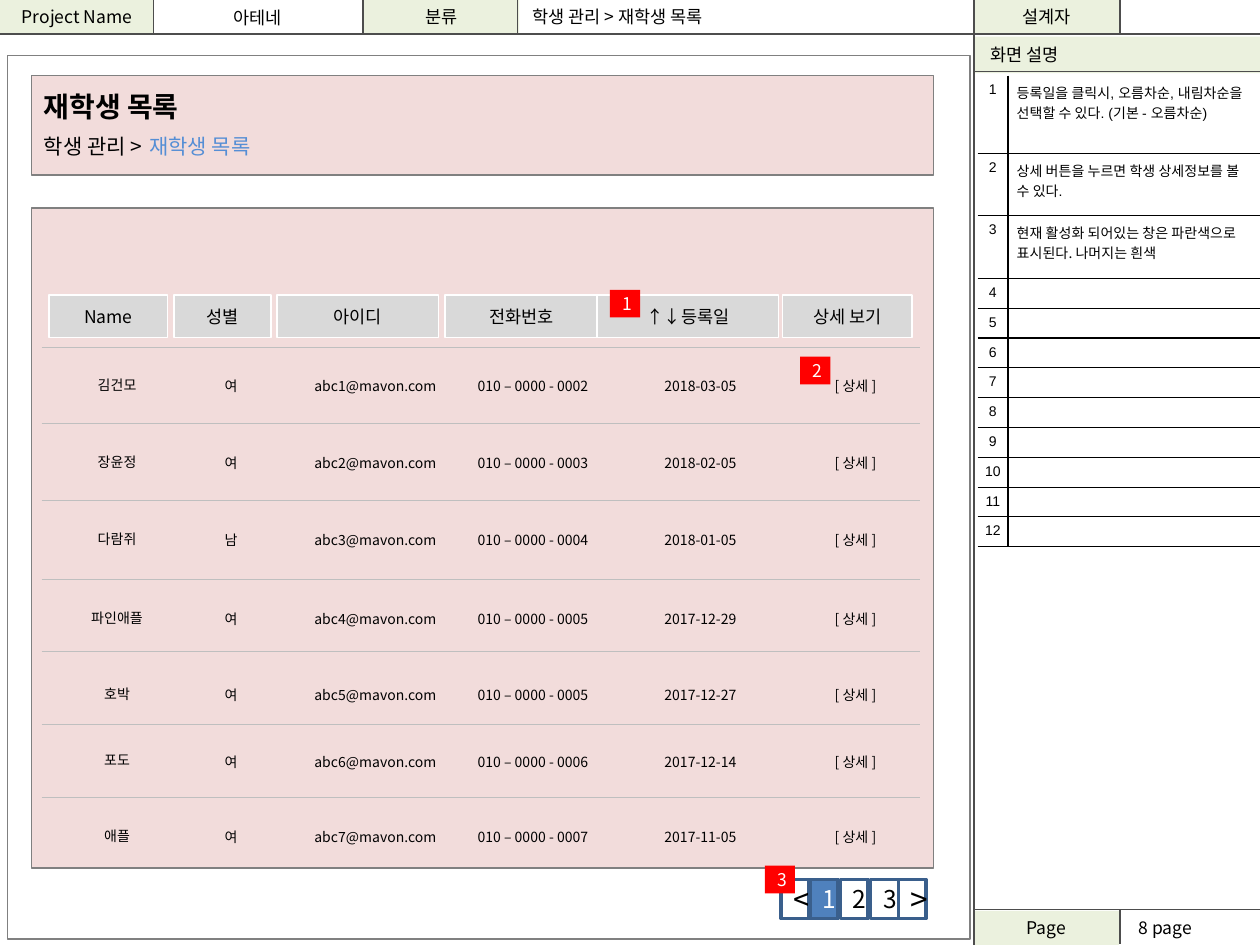
import pptx
import pptx.dml.color
import pptx.enum.shapes
import pptx.enum.text
import pptx.oxml.ns
import pptx.util
from lxml import etree

Inches, Pt = pptx.util.Inches, pptx.util.Pt
ALIGN = pptx.enum.text.PP_ALIGN
ANCHOR = pptx.enum.text.MSO_ANCHOR
FONT = "Noto Sans CJK KR"
GREEN, PINK, GREY, RED, BLUE = "EBF1DE", "F2DCDB", "D9D9D9", "FF0000", "4F81BD"
BLACK, WHITE, FRAME, RULE, ROW_RULE, NAVY = "000000", "FFFFFF", "808080", "4D4D4D", "BFBFBF", "3A5F8C"

# Content: page frame
LABELS = [  # text, left, top, width, height, align
    ("Page", 7.73, 7.23, 1.15, 0.27, ALIGN.CENTER),
    ("설계자", 7.73, 0, 1.15, 0.27, ALIGN.CENTER),
    (" 화면 설명", 7.73, 0.29, 2.27, 0.29, ALIGN.LEFT),
    ("분류", 2.89, 0, 1.23, 0.27, ALIGN.CENTER),
    ("Project Name", 0, 0, 1.22, 0.27, ALIGN.CENTER),
]
RULES = [  # x1, y1, x2, y2
    (8.89, 7.22, 8.89, 7.49), (0, 0.27, 10, 0.27), (1.22, 0, 1.22, 0.27),
    (2.88, 0, 2.88, 0.27), (4.11, 0, 4.11, 0.27), (7.73, 0.57, 10, 0.57),
    (8.89, 0, 8.89, 0.27), (7.73, 0, 7.73, 7.5), (7.73, 7.22, 10, 7.22),
]

# Content: student list
HEADERS = [  # text, left, width
    ("Name", 0.39, 0.94), ("성별", 1.38, 0.77), ("아이디", 2.2, 1.28),
    ("전화번호", 3.53, 1.22), ("↑↓등록일", 4.74, 1.44), ("상세 보기", 6.21, 1.03),
]
COLUMNS = [(0.46, 0.94), (1.45, 0.77), (2.34, 1.28), (3.62, 1.22), (4.84, 1.44), (6.28, 1.02)]
STUDENTS = [  # name, sex, last phone digit, date, rule y, text top
    ("김건모", "여", 2, "2018-03-05", 2.76, 2.83),
    ("장윤정", "여", 3, "2018-02-05", 3.36, 3.44),
    ("다람쥐", "남", 4, "2018-01-05", 3.97, 4.05),
    ("파인애플", "여", 5, "2017-12-29", 4.6, 4.68),
    ("호박", "여", 5, "2017-12-27", 5.17, 5.28),
    ("포도", "여", 6, "2017-12-14", 5.75, 5.81),
    ("애플", "여", 7, "2017-11-05", 6.33, 6.41),
]
PAGER = [("<", 6.2, 18), ("1", 6.43, 14), ("2", 6.67, 14), ("3", 6.91, 14), (">", 7.13, 18)]
BADGES = [("1", 4.84, 2.3), ("2", 6.35, 2.83), ("3", 6.07, 6.87)]

# Content: screen notes
NOTES = [  # text, font, row height
    ("등록일을 클릭시, 오름차순, 내림차순을 선택할 수 있다. (기본 - 오름차순)", "Arial", 0.62),
    ("상세 버튼을 누르면 학생 상세정보를 볼 수 있다.", "Arial", 0.49),
    ("현재 활성화 되어있는 창은 파란색으로 표시된다. 나머지는 흰색", FONT, 0.5),
] + [("", "Arial", 0.237)] * 9


def rgb(value):
    return pptx.dml.color.RGBColor.from_string(value)


def add_run(p, text, size=10, color=BLACK, font=FONT, bold=False):
    r = p.add_run()
    r.text = text
    r.font.size, r.font.name, r.font.bold = Pt(size), font, bold
    r.font.color.rgb = rgb(color)
    if font == FONT:
        etree.SubElement(r.font._element, pptx.oxml.ns.qn("a:ea"), typeface=font)


def add_text(text, x, y, w, h, align=ALIGN.CENTER, anchor=ANCHOR.MIDDLE, **fmt):
    s = prs_slide.shapes.add_textbox(Inches(x), Inches(y), Inches(w), Inches(h))
    tf = s.text_frame
    tf.word_wrap, tf.vertical_anchor = True, anchor
    tf.paragraphs[0].alignment = align
    add_run(tf.paragraphs[0], text, **fmt)


def add_box(x, y, w, h, fill, line=None, weight=1, text=None, align=ALIGN.CENTER, **fmt):
    s = prs_slide.shapes.add_shape(pptx.enum.shapes.MSO_SHAPE.RECTANGLE,
                                   Inches(x), Inches(y), Inches(w), Inches(h))
    s.shadow.inherit = False
    s.fill.solid()
    s.fill.fore_color.rgb = rgb(fill)
    if line:
        s.line.color.rgb = rgb(line)
        s.line.width = Pt(weight)
    else:
        s.line.fill.background()
    tf = s.text_frame
    tf.word_wrap, tf.vertical_anchor = True, ANCHOR.MIDDLE
    tf.paragraphs[0].alignment = align
    if text:
        add_run(tf.paragraphs[0], text, **fmt)
    return s


def add_rule(x1, y1, x2, y2, color):
    s = prs_slide.shapes.add_connector(pptx.enum.shapes.MSO_CONNECTOR.STRAIGHT,
                                       Inches(x1), Inches(y1), Inches(x2), Inches(y2))
    s.line.color.rgb = rgb(color)
    s.line.width = Pt(0.75)
    etree.SubElement(s._element.spPr, pptx.oxml.ns.qn("a:effectLst"))


def set_borders(cell, sides):
    qn = pptx.oxml.ns.qn
    for side in "LRTB":
        ln = etree.SubElement(cell._tc.get_or_add_tcPr(), qn("a:ln" + side), w=str(Pt(0.75)))
        if side in sides:
            etree.SubElement(etree.SubElement(ln, qn("a:solidFill")), qn("a:srgbClr"), val=BLACK)
        else:
            etree.SubElement(ln, qn("a:noFill"))


def fill_cell(cell, text, font, align, side_inset, sides):
    set_borders(cell, sides)
    cell.fill.background()
    cell.margin_left = cell.margin_right = Inches(side_inset)
    cell.margin_top = cell.margin_bottom = Inches(0.05)
    p = cell.text_frame.paragraphs[0]
    p.alignment = align
    if text:
        add_run(p, text, size=8, font=font)
    else:
        etree.SubElement(p._p, pptx.oxml.ns.qn("a:endParaRPr"), sz="800")


prs = pptx.Presentation()
prs.slide_width, prs.slide_height = Inches(10), Inches(7.5)
prs_slide = prs.slides.add_slide(prs.slide_layouts[6])

# Page frame
for text, x, y, w, h, align in LABELS:
    add_box(x, y, w, h, GREEN, text=text, align=align)
add_text("아테네", 1.22, 0.01, 1.65, 0.25)
for ends in RULES:
    add_rule(*ends, RULE)
add_text("학생 관리 > 재학생 목록", 4.13, 0, 2.99, 0.27, ALIGN.LEFT, ANCHOR.TOP)
add_text("8 page", 8.94, 7.23, 1.02, 0.27, ALIGN.LEFT, ANCHOR.TOP)

# Screen panels and title
add_box(0.06, 0.44, 7.64, 7.01, WHITE, FRAME)
add_box(0.25, 1.65, 7.16, 5.24, PINK, FRAME)
title = add_box(0.25, 0.6, 7.16, 0.79, PINK, FRAME, text="재학생 목록",
                align=ALIGN.LEFT, size=16, bold=True)
p = title.text_frame.add_paragraph()
p.alignment = ALIGN.LEFT
add_run(p, "학생 관리 >", size=12)
add_run(p, " ", size=18)
add_run(p, "재학생 목록", size=12, color="558ED5")

# Student list
for text, x, w in HEADERS:
    add_box(x, 2.34, w, 0.34, GREY, WHITE, text=text)
for i, (name, sex, digit, date, rule_y, top) in enumerate(STUDENTS, 1):
    add_rule(0.33, rule_y, 7.3, rule_y, ROW_RULE)
    values = (name, sex, f"abc{i}@mavon.com", f"010 – 0000 - 000{digit}", date, "[ 상세 ]")
    for text, (x, w) in zip(values, COLUMNS):
        y = top - 0.01 if text == name else top
        add_text(text, x, y, w, 0.47, size=8)

# Screen notes
heights = [h for _, _, h in NOTES]
table = prs_slide.shapes.add_table(len(NOTES), 2, Inches(7.76), Inches(0.6),
                                   Inches(2.24), Inches(sum(heights))).table
table.first_row = table.horz_banding = False
table.columns[0].width, table.columns[1].width = Inches(0.24), Inches(2)
for i, (text, font, h) in enumerate(NOTES):
    table.rows[i].height = Inches(h)
    fill_cell(table.cell(i, 0), str(i + 1), "Arial", ALIGN.CENTER, 0.04, "RB" if i == 0 else "RTB")
    fill_cell(table.cell(i, 1), text, font, ALIGN.LEFT, 0.07, "LB" if i == 0 else "LTB")

# Pager and numbered badges
for text, x, size in PAGER:
    current = text == "1"
    add_box(x, 6.98, 0.22, 0.31, BLUE if current else WHITE, NAVY, 2, text,
            size=size, color=WHITE if current else BLACK)
for text, x, y in BADGES:
    add_box(x, y, 0.24, 0.22, RED, text=text, color=WHITE)

prs.save("out.pptx")
